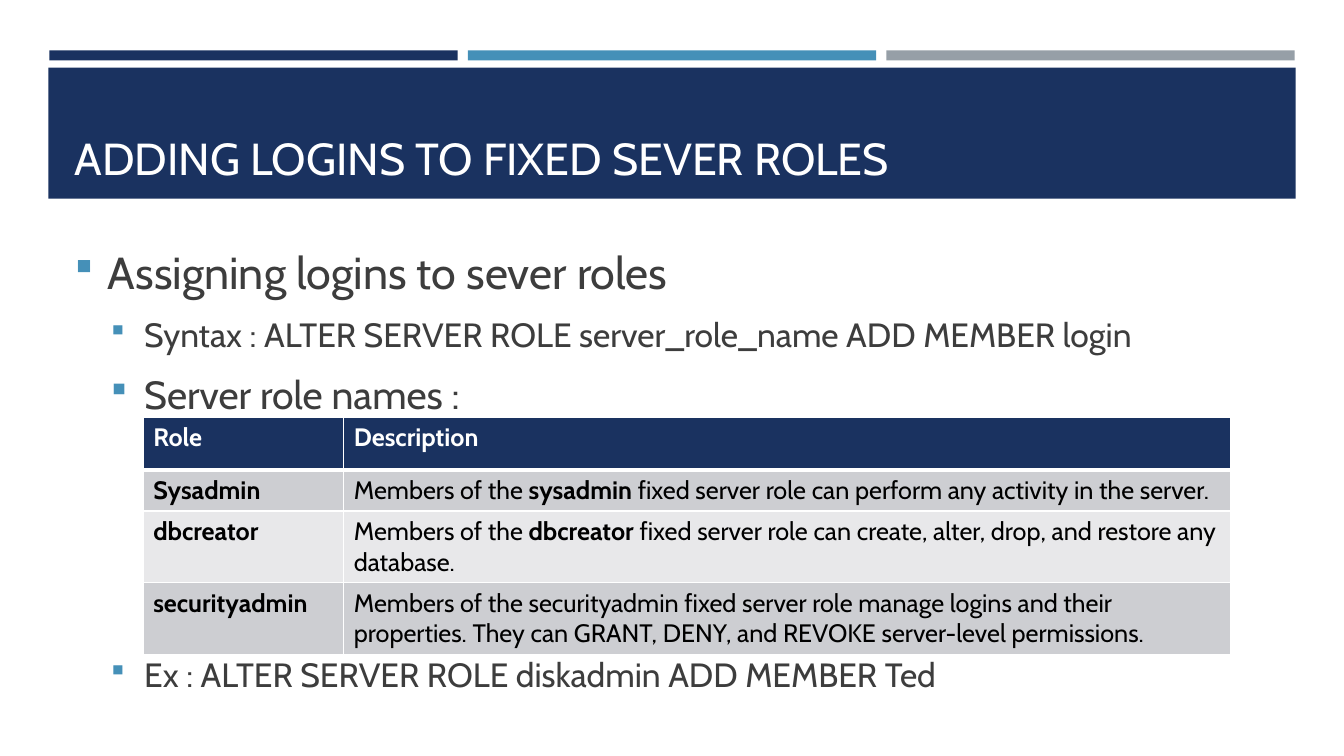
from lxml.etree import SubElement
from pptx import Presentation
from pptx.dml.color import RGBColor
from pptx.enum.shapes import MSO_SHAPE as Shape
from pptx.enum.text import MSO_ANCHOR as Anchor, MSO_AUTO_SIZE as Auto, PP_ALIGN as Align
from pptx.oxml.ns import qn
from pptx.util import Inches, Pt

NAVY, BLUE, GRAY, WHITE = "1A3260", "4590B8", "969FA7", "FFFFFF"
INK, BLACK, DARK, LIGHT = "3D3D3D", "000000", "CDCED2", "E8E8EA"

TITLE = "ADDING LOGINS TO FIXED SEVER ROLES"
# text, size, level, space before (the last one clears the table)
POINTS = [
    ("Assigning logins to sever roles", 32, 0, 0),
    ("Syntax : ALTER SERVER ROLE server_role_name ADD MEMBER login", 24, 1, 4.8),
    ("Server role names :", 28, 1, 5.6),
    ("Ex : ALTER SERVER ROLE diskadmin ADD MEMBER Ted", 24, 1, 163),
]
# each cell is a list of (text, bold) runs
ROLES = [
    ([("Role", True)], [("Description", True)]),
    ([("Sysadmin", True)],
     [("Members of the ", False), ("sysadmin", True),
      (" fixed server role can perform any activity in the server.", False)]),
    ([("dbcreator", True)],
     [("Members of the ", False), ("dbcreator", True),
      (" fixed server role can create, alter, drop, and restore any database.", False)]),
    ([("securityadmin", True)],
     [("Members of the securityadmin fixed server role manage logins and their "
       "properties. They can GRANT, DENY, and REVOKE server-level permissions.", False)]),
]
WIDTHS = [1.99, 8.8]
HEIGHTS = [0.52, 0.41, 0.71, 0.71]
INDENTS = [0.33, 0.69]
HANG = 0.33


def paint(hue):
    return RGBColor.from_string(hue)


def box(*sizes):
    return [Inches(n) for n in sizes]


def write(para, text, size=18, color=INK, bold=False):
    run = para.add_run()
    run.text = text
    font = run.font
    font.name, font.size, font.bold = "Cabin", Pt(size), bold
    font.color.rgb = paint(color)


def place(holder, area, anchor):
    holder.left, holder.top, holder.width, holder.height = box(*area)
    frame = holder.text_frame
    frame.word_wrap, frame.auto_size = True, Auto.NONE
    frame.vertical_anchor = anchor
    return frame


def bullet(para, level):
    props = para._p.get_or_add_pPr()
    props.set("marL", str(Inches(INDENTS[level])))
    props.set("indent", str(-Inches(HANG)))
    hue = SubElement(props, qn("a:buClr"))
    SubElement(hue, qn("a:srgbClr"), val=BLUE)
    SubElement(props, qn("a:buSzPct"), val="92000")
    SubElement(props, qn("a:buFont"), typeface="Wingdings")
    SubElement(props, qn("a:buChar"), char="§")


def border(cell, **widths):
    props = cell._tc.get_or_add_tcPr()
    for side, width in widths.items():
        line = SubElement(props, qn("a:ln" + side), w=str(Pt(width)))
        fill = SubElement(line, qn("a:solidFill"))
        SubElement(fill, qn("a:srgbClr"), val=WHITE)


deck = Presentation()
deck.slide_width, deck.slide_height = box(13.33, 7.5)
slide = deck.slides.add_slide(deck.slide_layouts[1])
title, body = slide.placeholders

bars = [(0.49 + 4.15 * i, 0.5, 4.05, 0.1, hue) for i, hue in enumerate((NAVY, BLUE, GRAY))]
for *area, hue in bars + [(0.48, 0.67, 12.37, 1.3, NAVY)]:
    bar = slide.shapes.add_shape(Shape.RECTANGLE, *box(*area))
    bar.shadow.inherit = False
    bar.fill.solid()
    bar.fill.fore_color.rgb = paint(hue)
    bar.line.fill.background()
    title._element.addprevious(bar._element)

head = place(title, (0.64, 0.77, 12.06, 1.11), Anchor.BOTTOM).paragraphs[0]
head.alignment = Align.LEFT
write(head, TITLE, size=32, color=WHITE)

frame = place(body, (0.64, 2.38, 12.06, 4.78), Anchor.TOP)
for i, (text, size, level, before) in enumerate(POINTS):
    para = frame.add_paragraph() if i else frame.paragraphs[0]
    para.level = level
    para.space_before, para.space_after = Pt(before), Pt(6)
    bullet(para, level)
    write(para, text, size=size)

table = slide.shapes.add_table(
    len(ROLES), len(WIDTHS), *box(1.42, 4.14, sum(WIDTHS), sum(HEIGHTS))).table
for col, width in zip(table.columns, WIDTHS):
    col.width = Inches(width)
for r, (row, height) in enumerate(zip(ROLES, HEIGHTS)):
    table.rows[r].height = Inches(height)
    for c, runs in enumerate(row):
        cell = table.cell(r, c)
        border(cell, L=1, R=1, T=3 if r == 1 else 1, B=1 if r else 3)
        cell.fill.solid()
        cell.fill.fore_color.rgb = paint((DARK if r % 2 else LIGHT) if r else NAVY)
        for text, bold in runs:
            write(cell.text_frame.paragraphs[0], text,
                  color=BLACK if r else WHITE, bold=bold)

deck.save("out.pptx")
